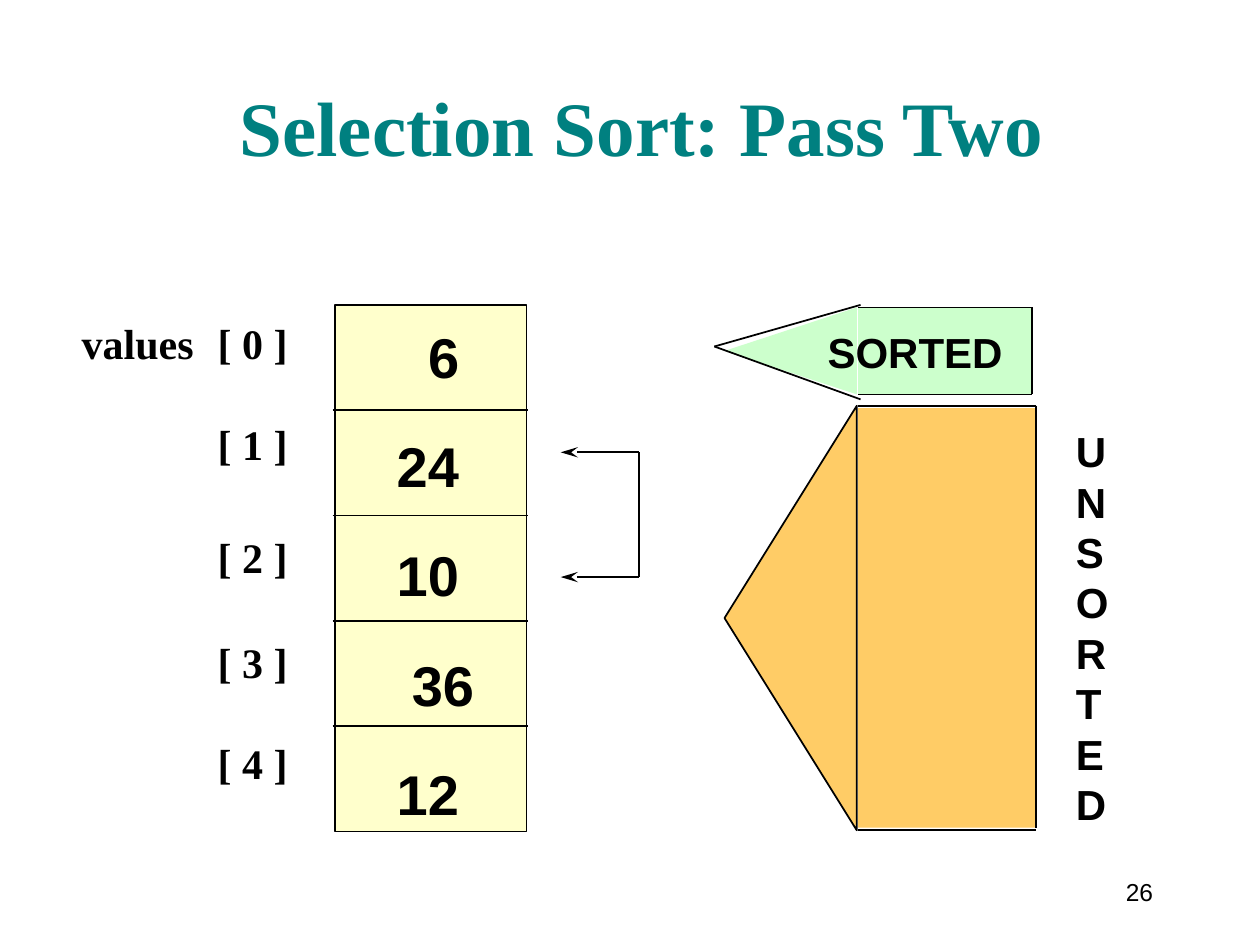
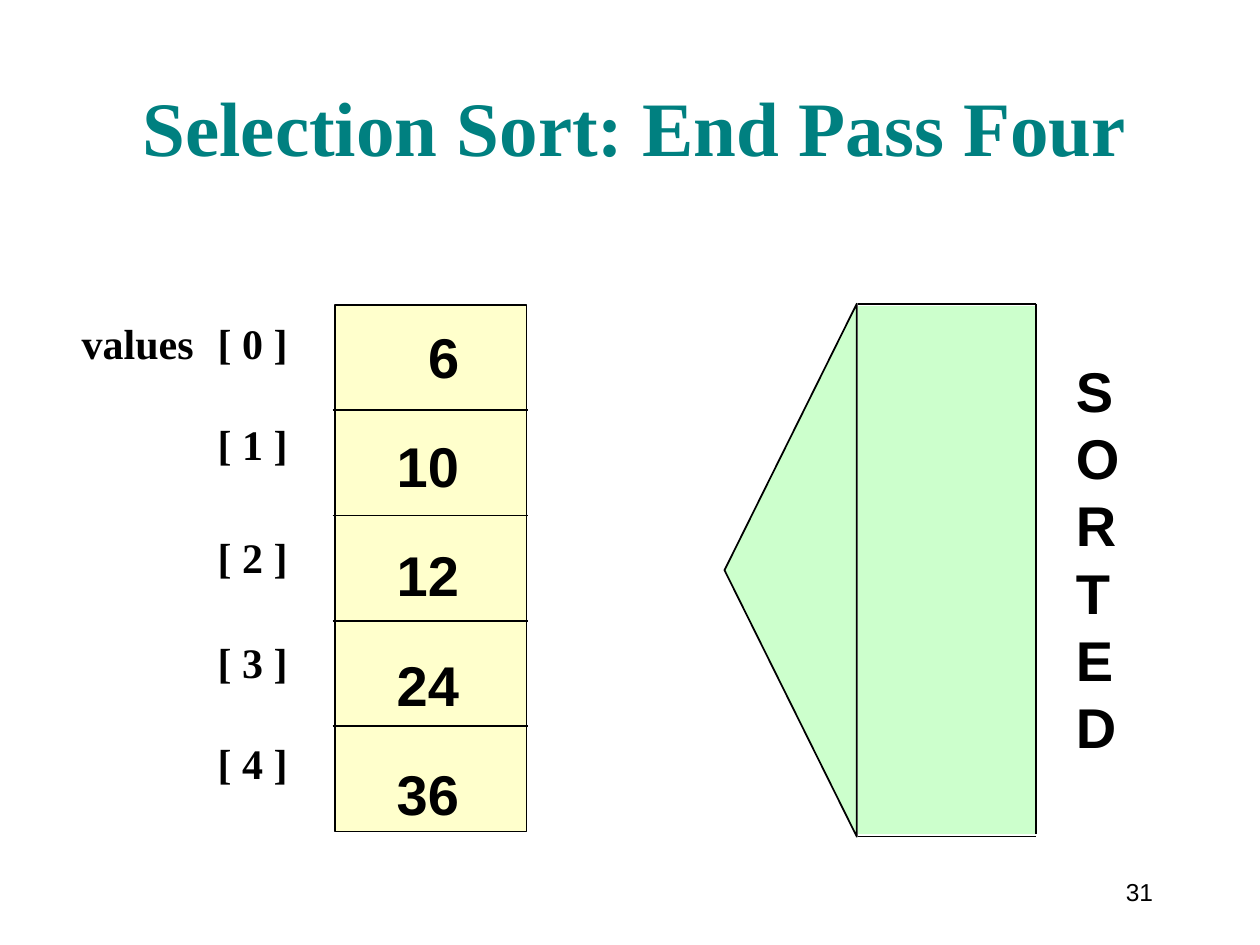
from lxml.etree import SubElement
from pptx import Presentation
from pptx.dml.color import RGBColor
from pptx.enum.shapes import MSO_CONNECTOR, MSO_SHAPE
from pptx.enum.text import MSO_ANCHOR, PP_ALIGN
from pptx.oxml.ns import qn
from pptx.util import Inches, Pt

BLACK = RGBColor(0x00, 0x00, 0x00)
TEAL = RGBColor(0x00, 0x80, 0x80)
CREAM = RGBColor(0xFF, 0xFF, 0xCC)
GREEN = RGBColor(0xCC, 0xFF, 0xCC)
ORANGE = RGBColor(0xFF, 0xCC, 0x66)
SANS = "Arial"
SERIF = "Times New Roman"
ARRAY_TOP, ARRAY_HEIGHT, CELL_COUNT = 2.42, 4.18, 5
TIP_LEFT, TIP_WIDTH, BLOCK_LEFT = 5.75, 1.05, 6.81


def add_text(slide, box, lines, size, font=SANS, color=BLACK, bold=True, align=PP_ALIGN.LEFT,
             anchor=MSO_ANCHOR.TOP, margin_top=0.05, gaps=(), indents=(), tab=None):
    """Add a text box; gaps between lines are in points, indents in inches."""
    shape = slide.shapes.add_textbox(*map(Inches, box))
    frame = shape.text_frame
    frame.word_wrap = True
    frame.vertical_anchor = anchor
    frame.margin_top = Inches(margin_top)
    for index, line in enumerate(lines):
        paragraph = frame.paragraphs[0] if index == 0 else frame.add_paragraph()
        paragraph.alignment = align
        if index and gaps:
            paragraph.space_before = Pt(gaps[index - 1])
        properties = paragraph._p.get_or_add_pPr()
        if indents:
            properties.set("marL", str(Inches(indents[index])))
        if tab:
            stops = SubElement(properties, qn("a:tabLst"))
            SubElement(stops, qn("a:tab"), pos=str(Inches(tab)), algn="l")
        run = paragraph.add_run()
        run.text = line
        run.font.name = font
        run.font.size = Pt(size)
        run.font.bold = bold
        run.font.color.rgb = color


def add_filled(slide, kind, box, fill, outlined=False):
    """Add a flat preset shape, with or without a thin black outline."""
    shape = slide.shapes.add_shape(kind, *map(Inches, box))
    shape.shadow.inherit = False
    shape.fill.solid()
    shape.fill.fore_color.rgb = fill
    if outlined:
        shape.line.color.rgb = BLACK
        shape.line.width = Pt(1)
    else:
        shape.line.fill.background()
    return shape


def add_line(slide, start, end, arrow=False):
    """Add a thin black line, with an optional stealth arrowhead at its start."""
    connector = slide.shapes.add_connector(MSO_CONNECTOR.STRAIGHT, *map(Inches, (*start, *end)))
    connector.line.color.rgb = BLACK
    connector.line.width = Pt(1)
    if arrow:
        SubElement(connector.line._get_or_add_ln(), qn("a:headEnd"), type="stealth", len="lg")
    SubElement(connector._element.spPr, qn("a:effectLst"))


def add_tip(slide, top, height, fill, outlined):
    """Add a triangle that points left and spans the given height."""
    center_x, center_y = TIP_LEFT + TIP_WIDTH / 2, top + height / 2
    box = (center_x - height / 2, center_y - TIP_WIDTH / 2, height, TIP_WIDTH)
    add_filled(slide, MSO_SHAPE.ISOSCELES_TRIANGLE, box, fill, outlined).rotation = 270


def add_region(slide, top, bottom, fill, word, word_top, size):
    """Add a tall pointer over part of the array, with its word set downwards."""
    right = 8.22
    add_tip(slide, top, bottom - top, fill, True)
    add_filled(slide, MSO_SHAPE.RECTANGLE,
               (BLOCK_LEFT, top + 0.02, right - BLOCK_LEFT, bottom - top - 0.04), fill)
    for y in (top, bottom):
        add_line(slide, (BLOCK_LEFT, y), (right, y))
    add_line(slide, (right, top), (right, bottom - 0.02))
    add_text(slide, (8.44, word_top, 0.55, 3.3), word, size)


def add_sorted_band(slide):
    """Add the short pointer that marks the first cell as sorted."""
    top, bottom, right = 2.44, 3.13, 8.19
    add_tip(slide, top, bottom - top, GREEN, False)
    add_filled(slide, MSO_SHAPE.RECTANGLE,
               (BLOCK_LEFT, top, right - BLOCK_LEFT, bottom - top), GREEN)
    for y, wing_y in ((top, 2.42), (bottom, 3.17)):
        add_line(slide, (BLOCK_LEFT, y), (right, y))
        add_line(slide, (5.67, 2.75), (6.83, wing_y))
    add_line(slide, (right, top), (right, bottom))
    add_text(slide, (6.47, 2.54, 1.7, 0.5), ["SORTED"], 24)


def add_swap_bracket(slide, upper, lower):
    """Add a bracket with arrows to the two cells being exchanged."""
    right = 5.07
    add_line(slide, (right, upper), (right, lower))
    for y in (upper, lower):
        add_line(slide, (4.45, y), (right, y), arrow=True)


def add_array(slide, values, indents):
    """Add the index labels, the cells and their values."""
    labels = [f"\t[ {index} ]" for index in range(CELL_COUNT)]
    labels[0] = "values" + labels[0]
    add_text(slide, (0.55, 1.77, 2.1, 4.53), labels, 24, SERIF, margin_top=0.75,
             gaps=(28.8, 36, 31.2, 28.8), tab=1.08)
    add_filled(slide, MSO_SHAPE.RECTANGLE, (2.66, ARRAY_TOP, 1.52, ARRAY_HEIGHT), CREAM, True)
    for index in range(1, CELL_COUNT):
        y = ARRAY_TOP + index * ARRAY_HEIGHT / CELL_COUNT
        add_line(slide, (2.64, y), (4.19, y))
    add_text(slide, (3.05, 2.51, 0.9, 4.1), map(str, values), 32,
             gaps=[24] * (CELL_COUNT - 1), indents=indents)


def add_sort_slide(presentation, title, title_left, title_width, number, values, indents):
    """Add a slide with title, page number and array."""
    slide = presentation.slides.add_slide(presentation.slide_layouts[6])
    add_text(slide, (8.58, 6.83, 0.67, 0.5), [str(number)], 14, bold=False,
             align=PP_ALIGN.RIGHT, anchor=MSO_ANCHOR.MIDDLE)
    add_text(slide, (title_left, 0.16, title_width, 1.25), [title], 44, SERIF, TEAL,
             align=PP_ALIGN.CENTER, anchor=MSO_ANCHOR.BOTTOM)
    add_array(slide, values, indents)
    return slide


def main():
    """Build both slides and save the presentation."""
    presentation = Presentation()
    presentation.slide_width, presentation.slide_height = Inches(10), Inches(7.5)

    slide = add_sort_slide(presentation, "Selection Sort: Pass Two ", 1.53, 7.28, 26,
                           (6, 24, 10, 36, 12), (0.25, 0, 0, 0.12, 0))
    add_sorted_band(slide)
    add_region(slide, 3.22, 6.59, ORANGE, "UNSORTED", 3.33, 24)
    add_swap_bracket(slide, 3.59, 4.58)

    slide = add_sort_slide(presentation, "Selection Sort: End Pass Four", 1, 8.08, 31,
                           (6, 10, 12, 24, 36), (0.25, 0, 0, 0, 0))
    add_region(slide, 2.41, 6.64, GREEN, "SORTED", 2.78, 32)

    presentation.save("out.pptx")


if __name__ == "__main__":
    main()
